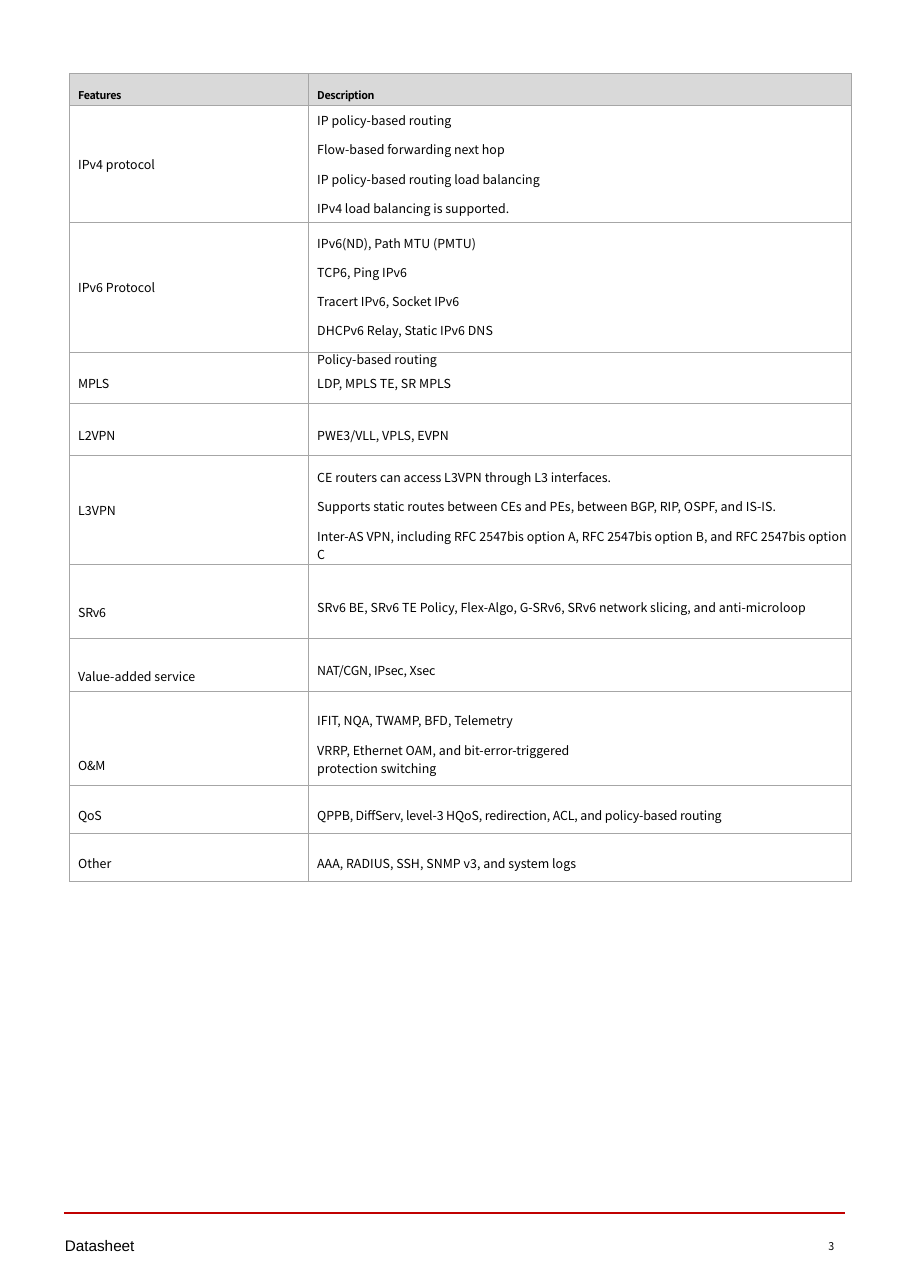
from dataclasses import dataclass
from lxml.etree import SubElement, Element
from pptx import Presentation
from pptx.dml.color import RGBColor as Rgb
from pptx.enum.shapes import MSO_CONNECTOR as Link
from pptx.enum.text import MSO_ANCHOR as Anchor
from pptx.oxml.ns import qn
from pptx.util import Pt

SCALE = 9144  # one px is 1/100 inch


@dataclass(frozen=True)
class Theme:
    ink: str = "000000"
    rule: str = "C00000"
    grid: str = "A6A6A6"
    head: str = "D9D9D9"
    sans: str = "Noto Sans CJK SC"
    foot: str = "Arial"
    small: float = 7
    body: float = 8.1
    label: float = 10


LOOK = Theme()
COLS = (217, 493)
INDENT = 8

# Each row: height, then (text lines, top inset, tracking) for both cells
ROWS = [
    (29, (["Features"], 10, -20), (["Description"], 10, -20)),
    (106, (["IPv4 protocol"], 0, 0),
     (["IP policy-based routing", "Flow-based forwarding next hop",
       "IP policy-based routing load balancing",
       "IPv4 load balancing is supported."], 0, 0)),
    (107, (["IPv6 Protocol"], 0, 0),
     (["IPv6(ND), Path MTU (PMTU)", "TCP6, Ping IPv6",
       "Tracert IPv6, Socket IPv6", "DHCPv6 Relay, Static IPv6 DNS",
       "Policy-based routing"], 10, 0)),
    (47, (["MPLS"], 9, -20), (["LDP, MPLS TE, SR MPLS"], 9, 0)),
    (47, (["L2VPN"], 10, -10), (["PWE3/VLL, VPLS, EVPN"], 10, 0)),
    (99, (["L3VPN"], 0, 0),
     (["CE routers can access L3VPN through L3 interfaces.",
       "Supports static routes between CEs and PEs, between BGP, RIP, OSPF, "
       "and IS-IS.",
       "Inter-AS VPN, including RFC 2547bis option A, RFC 2547bis option B, "
       "and RFC 2547bis option C"], 10, 0)),
    (67, (["SRv6"], 19, -20),
     (["SRv6 BE, SRv6 TE Policy, Flex-Algo, G-SRv6, SRv6 network slicing, "
       "and anti-microloop"], 10, 0)),
    (48, (["Value-added service"], 20, 0), (["NAT/CGN, IPsec, Xsec"], 9, -10)),
    (85, (["O&M"], 49, -20),
     (["IFIT, NQA, TWAMP, BFD, Telemetry",
       "VRRP, Ethernet OAM, and bit-error-triggered protection switching"],
      11, 0)),
    (44, (["QoS"], 10, -20),
     (["QPPB, DiffServ, level-3 HQoS, redirection, ACL, and policy-based "
       "routing"], 10, -10)),
    (44, (["Other"], 10, 0),
     (["AAA, RADIUS, SSH, SNMP v3, and system logs"], 10, 0)),
]
NARROW = {"O&M": 228}  # right inset of the description beside this feature


def px(num):
    return int(num * SCALE)


def apply(item, form):
    for key, val in form.items():
        setattr(item, key, val)


def write(frame, lines, form, track=0, gap=7.2):
    for pos, line in enumerate(lines):
        para = frame.paragraphs[0] if pos == 0 else frame.add_paragraph()
        if pos:
            para.space_before = Pt(gap)
        run = para.add_run()
        run.text = line
        apply(run.font, form)
        run.font.color.rgb = Rgb.from_string(LOOK.ink)
        if track:
            run.font._element.set("spc", str(track))


def border(cell):
    props = cell._tc.get_or_add_tcPr()
    for pos, side in enumerate(("lnL", "lnR", "lnT", "lnB")):
        line = Element(qn(f"a:{side}"), w=str(Pt(0.5)))
        fill = SubElement(line, qn("a:solidFill"))
        SubElement(fill, qn("a:srgbClr"), val=LOOK.grid)
        props.insert(pos, line)


def fill_cell(cell, data, head, right):
    lines, top, track = data
    apply(cell, {"margin_left": px(INDENT), "margin_top": px(top),
                 "margin_right": px(right), "margin_bottom": 0,
                 "vertical_anchor": Anchor.MIDDLE})
    if head:
        cell.fill.solid()
        cell.fill.fore_color.rgb = Rgb.from_string(LOOK.head)
    else:
        cell.fill.background()
    border(cell)
    size = LOOK.small if head else LOOK.body
    write(cell.text_frame, lines,
          {"name": LOOK.sans, "size": Pt(size), "bold": head}, track)


# Feature table
def features(slide, left, top, width, height):
    frame = slide.shapes.add_table(len(ROWS), len(COLS),
                                   *map(px, (left, top, width, height)))
    table = frame.table
    apply(table, {"first_row": True, "horz_banding": False})
    for col, wide in zip(table.columns, COLS):
        col.width = px(wide)
    for num, (tall, *cells) in enumerate(ROWS):
        table.rows[num].height = px(tall)
        name = cells[0][0][0]
        for col, data in enumerate(cells):
            right = NARROW.get(name, 0) if col else 0
            fill_cell(table.cell(num, col), data, num == 0, right)
    frame.height = px(height)


def label(slide, box, text, form, top=0):
    frame = slide.shapes.add_textbox(*map(px, box)).text_frame
    apply(frame, {"margin_left": px(1), "margin_top": px(top),
                  "margin_right": 0, "margin_bottom": 0, "word_wrap": True})
    write(frame, [text], form)


# Footer: red rule, document type, page number
def footer(slide, left, top, width):
    rule = slide.shapes.add_connector(
        Link.STRAIGHT, px(left), px(top), px(left + width), px(top))
    rule.line.color.rgb = Rgb.from_string(LOOK.rule)
    rule.line.width = Pt(1)
    SubElement(rule._element.spPr, qn("a:effectLst"))
    label(slide, (left, top + 21, 67, 17), "Datasheet",
          {"name": LOOK.foot, "size": Pt(LOOK.label)}, 0)
    label(slide, (left + width - 16, top + 22, 11, 19), "3",
          {"name": LOOK.sans, "size": Pt(LOOK.small)}, 2)


def main():
    deck = Presentation()
    apply(deck, {"slide_width": px(826), "slide_height": px(1169)})
    slide = deck.slides.add_slide(deck.slide_layouts[6])
    footer(slide, 58, 1101, 709)
    features(slide, 63, 67, 709, 731)
    deck.save("out.pptx")


if __name__ == "__main__":
    main()
